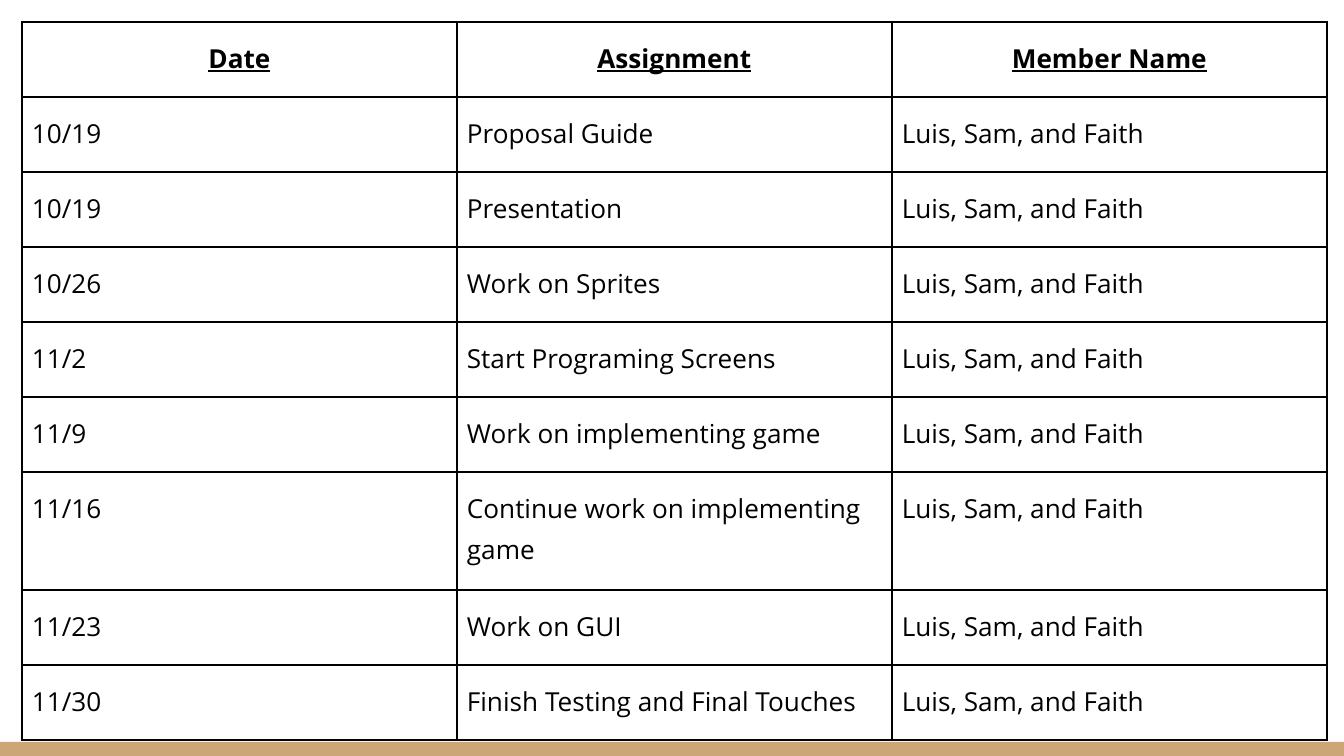
import pptx
import pptx.dml.color
import pptx.enum.shapes
import pptx.enum.text
import pptx.oxml
import pptx.oxml.ns
import pptx.util

PX = 914400 / 134.4
BLACK = pptx.dml.color.RGBColor(0x00, 0x00, 0x00)
WHITE = pptx.dml.color.RGBColor(0xFF, 0xFF, 0xFF)
TAN = pptx.dml.color.RGBColor(0xCC, 0xA6, 0x77)

HEADINGS = ["Date", "Assignment", "Member Name"]
MEMBERS = "Luis, Sam, and Faith"
SCHEDULE = [
    ("10/19", "Proposal Guide"),
    ("10/19", "Presentation"),
    ("10/26", "Work on Sprites"),
    ("11/2", "Start Programing Screens"),
    ("11/9", "Work on implementing game"),
    ("11/16", "Continue work on implementing game"),
    ("11/23", "Work on GUI"),
    ("11/30", "Finish Testing and Final Touches"),
]
ROW_HEIGHTS = [75] * 6 + [118] + [75] * 2
COLUMN_WIDTH = 435


def px(length):
    return pptx.util.Emu(round(length * PX))


def add_borders(cell):
    properties = cell._tc.get_or_add_tcPr()
    for position, side in enumerate(("lnL", "lnR", "lnT", "lnB")):
        properties.insert(position, pptx.oxml.parse_xml(
            f'<a:{side} {pptx.oxml.ns.nsdecls("a")} w="{pptx.util.Pt(1)}">'
            f'<a:solidFill><a:srgbClr val="{BLACK}"/></a:solidFill></a:{side}>'
        ))


deck = pptx.Presentation()
deck.slide_width = px(1344)
deck.slide_height = px(756)
page = deck.slides.add_slide(deck.slide_layouts[6])
page.background.fill.solid()
page.background.fill.fore_color.rgb = WHITE

footer_bar = page.shapes.add_shape(
    pptx.enum.shapes.MSO_SHAPE.RECTANGLE, px(0), px(742), px(1344), px(14))
footer_bar.shadow.inherit = False
footer_bar.fill.solid()
footer_bar.fill.fore_color.rgb = TAN
footer_bar.line.fill.background()

rows = [HEADINGS] + [(date, assignment, MEMBERS) for date, assignment in SCHEDULE]
table = page.shapes.add_table(
    len(rows), len(HEADINGS), px(22), px(22),
    px(COLUMN_WIDTH * len(HEADINGS)), px(sum(ROW_HEIGHTS))).table
table.horz_banding = False
for column in table.columns:
    column.width = px(COLUMN_WIDTH)

for row_index, texts in enumerate(rows):
    table.rows[row_index].height = px(ROW_HEIGHTS[row_index])
    is_heading = row_index == 0
    for column_index, text in enumerate(texts):
        cell = table.cell(row_index, column_index)
        cell.margin_left = cell.margin_right = px(10)
        cell.margin_top = cell.margin_bottom = px(13)
        cell.fill.background()
        add_borders(cell)
        cell.text = text
        para = cell.text_frame.paragraphs[0]
        para.line_spacing = 1.15
        para.alignment = (pptx.enum.text.PP_ALIGN.CENTER if is_heading
                          else pptx.enum.text.PP_ALIGN.LEFT)
        para.font.name = "Open Sans"
        para.font.size = pptx.util.Pt(14)
        para.font.color.rgb = BLACK
        para.font.bold = is_heading
        para.font.underline = is_heading

deck.save("out.pptx")
